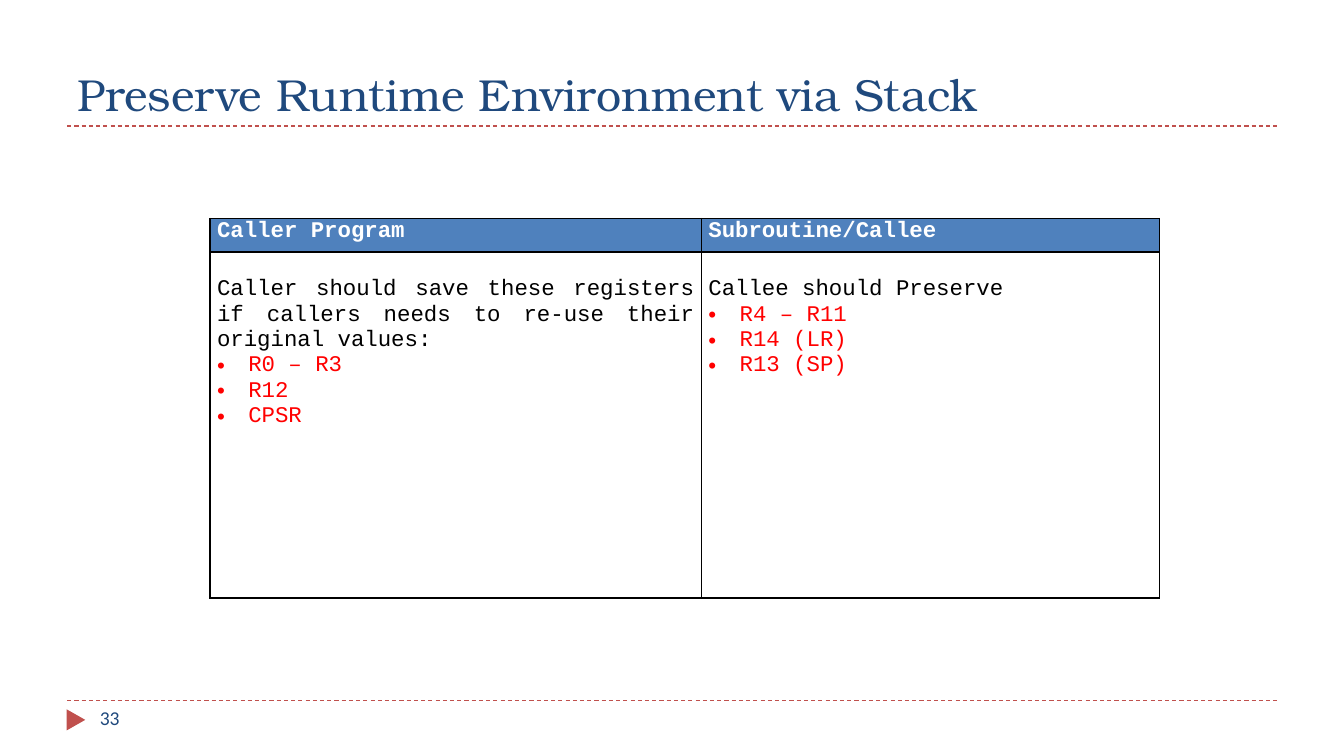
from dataclasses import dataclass

from lxml.etree import SubElement
from pptx import Presentation
from pptx.dml.color import RGBColor
from pptx.enum.dml import MSO_LINE
from pptx.enum.shapes import MSO_CONNECTOR, MSO_SHAPE
from pptx.enum.text import MSO_ANCHOR, MSO_AUTO_SIZE, PP_ALIGN
from pptx.oxml import parse_xml
from pptx.oxml.ns import nsdecls, qn
from pptx.slide import Slide
from pptx.table import _Cell as Cell
from pptx.text.text import TextFrame, _Paragraph as Paragraph
from pptx.util import Emu, Inches, Pt

COLS, ROWS = 160, 90
UNIT = Inches(1) // 12

NAVY = RGBColor(0x1F, 0x49, 0x7D)
BRICK = RGBColor(0xC0, 0x50, 0x4D)
BLUE = RGBColor(0x4F, 0x81, 0xBD)
RED = RGBColor(0xFF, 0x00, 0x00)
BLACK = RGBColor(0x00, 0x00, 0x00)
WHITE = RGBColor(0xFF, 0xFF, 0xFF)

TITLE_FONT = "TeX Gyre Bonum"
NUMBER_FONT = "Calibri"
CODE_FONT = "Courier New"


@dataclass(frozen=True)
class Box:
    col: float
    row: float
    cols: float
    rows: float

    def emu(self) -> tuple[Emu, Emu, Emu, Emu]:
        return grid(self.col), grid(self.row), grid(self.cols), grid(self.rows)


@dataclass(frozen=True)
class Role:
    name: str
    width: float
    rule: str
    registers: tuple[str, ...]


ROLES = (
    Role("Caller Program", 58.5,
         "Caller should save these registers if callers needs to re-use their original values: ",
         ("R0 – R3", "R12", "CPSR")),
    Role("Subroutine/Callee", 54.5, "Callee should Preserve",
         ("R4 – R11", "R14 (LR)", "R13 (SP)")),
)
TITLE_BOX = Box(8, 2, 144, 13)
MARKER_BOX = Box(7.8, 84.6, 2.5, 2.2)
NUMBER_BOX = Box(10.7, 83.4, 34.7, 4.8)
TABLE_BOX = Box(25, 26, sum(role.width for role in ROLES), 45.2)
HEAD_ROWS = 4
RULE_ROWS = (83.4, 15)


def grid(n: float) -> Emu:
    return Emu(round(n * UNIT))


def add_run(p: Paragraph, text: str, font: str, size: float, color: RGBColor,
            bold: bool = False) -> None:
    r = p.add_run()
    r.text = text
    r.font.name = font
    r.font.size = Pt(size)
    r.font.color.rgb = color
    r.font.bold = bold


def add_rule(s: Slide, row: float) -> None:
    left, right = TITLE_BOX.col, TITLE_BOX.col + TITLE_BOX.cols
    line = s.shapes.add_connector(MSO_CONNECTOR.STRAIGHT, grid(left), grid(row),
                                  grid(right), grid(row))
    line.line.color.rgb = BRICK
    line.line.width = Pt(0.75)
    line.line.dash_style = MSO_LINE.DASH
    SubElement(line._element.spPr, qn("a:effectLst"))


def add_title(s: Slide, text: str) -> None:
    sp = s.shapes.title
    sp.left, sp.top, sp.width, sp.height = TITLE_BOX.emu()
    tf = sp.text_frame
    tf.auto_size = MSO_AUTO_SIZE.NONE
    tf.vertical_anchor = MSO_ANCHOR.BOTTOM
    p = tf.paragraphs[0]
    p.alignment = PP_ALIGN.LEFT
    add_run(p, text, TITLE_FONT, 32, NAVY)


def add_page_number(s: Slide, text: str) -> None:
    sp = s.shapes.add_shape(MSO_SHAPE.ISOSCELES_TRIANGLE, *MARKER_BOX.emu())
    sp.rotation = 90
    sp.shadow.inherit = False
    sp.fill.solid()
    sp.fill.fore_color.rgb = BRICK
    sp.line.fill.background()
    tf = s.shapes.add_textbox(*NUMBER_BOX.emu()).text_frame
    tf.word_wrap = True
    add_run(tf.paragraphs[0], text, NUMBER_FONT, 14, NAVY)


def style_cell(cell: Cell, top: float = 0) -> TextFrame:
    cell.margin_left = cell.margin_right = Inches(0.07)
    cell.margin_top, cell.margin_bottom = Inches(top), 0
    tcPr = cell._tc.get_or_add_tcPr()
    for i, side in enumerate("LRTB"):
        tcPr.insert(i, parse_xml(
            f'<a:ln{side} {nsdecls("a")} w="{Pt(1)}"><a:solidFill>'
            f'<a:srgbClr val="{BLACK}"/></a:solidFill></a:ln{side}>'))
    return cell.text_frame


def add_line(p: Paragraph, text: str, color: RGBColor, bold: bool = False,
             bullet: bool = False) -> None:
    p.alignment = PP_ALIGN.JUSTIFY
    if bullet:
        pPr = p._p.get_or_add_pPr()
        pPr.set("marL", str(Inches(0.31)))
        pPr.set("indent", str(-Inches(0.31)))
        SubElement(pPr, qn("a:buFont")).set("typeface", "Arial")
        SubElement(pPr, qn("a:buChar")).set("char", "•")
    add_run(p, text, CODE_FONT, 16, color, bold)


def add_role_table(s: Slide) -> None:
    table = s.shapes.add_table(2, len(ROLES), *TABLE_BOX.emu()).table
    table.horz_banding = False
    table.rows[0].height = grid(HEAD_ROWS)
    table.rows[1].height = grid(TABLE_BOX.rows - HEAD_ROWS)
    for i, role in enumerate(ROLES):
        table.columns[i].width = grid(role.width)
        head, body = table.cell(0, i), table.cell(1, i)
        head.fill.solid()
        head.fill.fore_color.rgb = BLUE
        body.fill.background()
        add_line(style_cell(head).paragraphs[0], role.name, WHITE, bold=True)
        tf = style_cell(body, top=0.25)
        add_line(tf.paragraphs[0], role.rule, BLACK)
        for register in role.registers:
            add_line(tf.add_paragraph(), register, RED, bullet=True)


def main() -> None:
    prs = Presentation()
    prs.slide_width, prs.slide_height = grid(COLS), grid(ROWS)
    s = prs.slides.add_slide(prs.slide_layouts[5])
    for row in RULE_ROWS:
        add_rule(s, row)
    add_title(s, "Preserve Runtime Environment via Stack")
    add_page_number(s, "33")
    add_role_table(s)
    prs.save("out.pptx")


if __name__ == "__main__":
    main()
